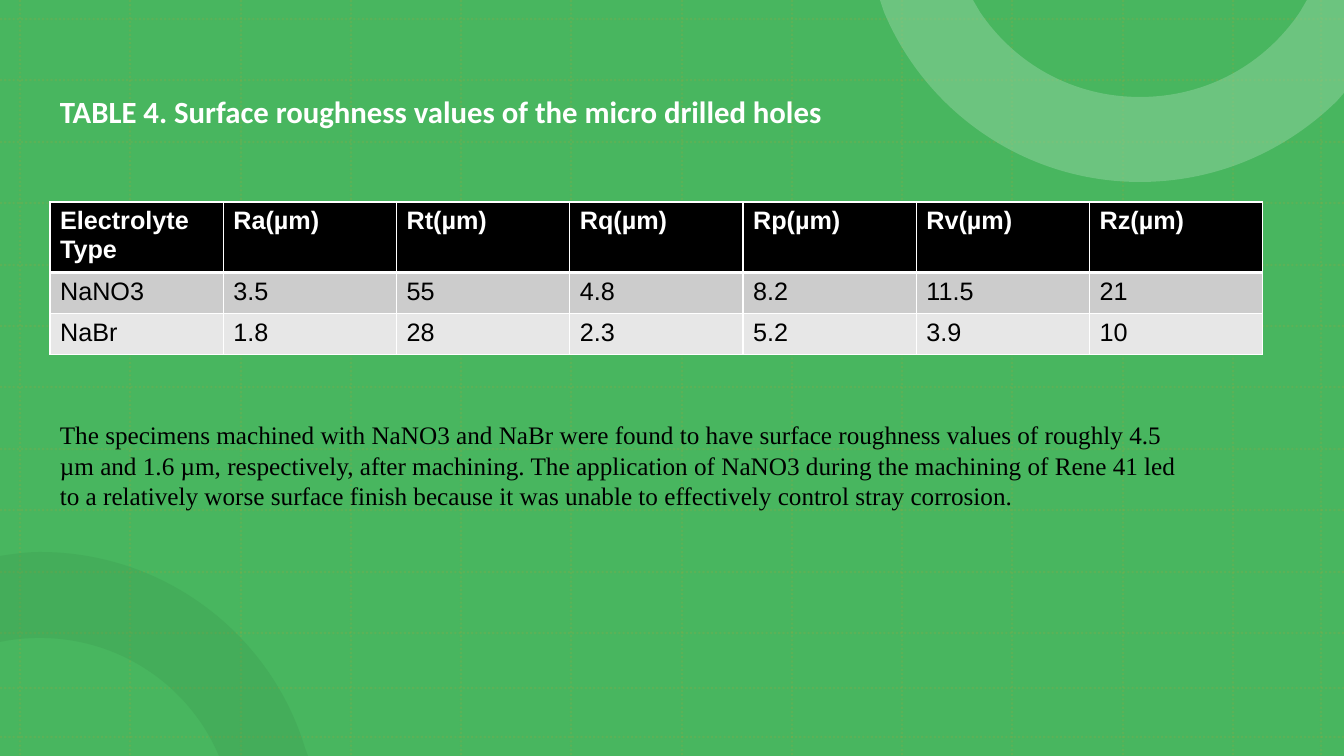
from lxml.etree import SubElement
from pptx import Presentation
from pptx.dml.color import RGBColor
from pptx.enum.dml import MSO_LINE
from pptx.enum.shapes import MSO_CONNECTOR, MSO_SHAPE
from pptx.enum.text import MSO_ANCHOR
from pptx.oxml.ns import qn
from pptx.util import Pt

TITLE = "TABLE 4. Surface roughness values of the micro drilled holes"
ROUGHNESS = [
    ["Electrolyte Type", "Ra(µm)", "Rt(µm)", "Rq(µm)", "Rp(µm)", "Rv(µm)", "Rz(µm)"],
    ["NaNO3", "3.5", "55", "4.8", "8.2", "11.5", "21"],
    ["NaBr", "1.8", "28", "2.3", "5.2", "3.9", "10"],
]
FINDINGS = (
    "The specimens machined with NaNO3 and NaBr were found to have surface "
    "roughness values of roughly 4.5 µm and 1.6 µm, respectively, after machining. "
    "The application of NaNO3 during the machining of Rene 41 led to a relatively "
    "worse surface finish because it was unable to effectively control stray corrosion."
)

THEME = {
    "background": "48B65F",
    "grid": "A9A538",
    "grid_opacity": 20,
    "border": "FFFFFF",
    "row_fills": ["000000", "CCCCCC", "E7E7E7"],
    "title": {"name": "Calibri", "size": Pt(22), "bold": True, "color": "FFFFFF"},
    "header": {"name": "Arial", "size": Pt(18), "bold": True, "color": "FFFFFF"},
    "value": {"name": "Arial", "size": Pt(18), "bold": False, "color": "000000"},
    "findings": {"name": "Times New Roman", "size": Pt(18), "bold": False, "color": "000000"},
}

# Lengths in px
WIDTH, HEIGHT = 1344, 756
TITLE_BOX = (50, 41, 1182, 146)
TABLE_BOX = (50, 202, 1213, 152)
ROW_HEIGHT = 41
FINDINGS_BOX = (50, 414, 1145, 102)
GRID_X = [20 + round(1213 * i / 11) for i in range(12)] + [1321]
GRID_Y = [19 + round(614 * i / 10) for i in range(11)] + [688, 737]
# Each outline is a list of steps: one point is a straight side, three are a curve
LOWER_RING = [
    [(40, 552)],
    [(165, 552), (271, 635), (305, 748)],
    [(308, 756)],
    [(219, 756)],
    [(190, 687), (121, 638), (40, 638)],
    [(27, 638), (14, 639), (0, 642)],
    [(0, 556)],
    [(13, 554), (27, 552), (40, 552)],
]
UPPER_RING = [
    [(880, 0)],
    [(973, 0)],
    [(980, 12)],
    [(1015, 64), (1073, 97), (1140, 97)],
    [(1207, 97), (1265, 64), (1300, 12)],
    [(1307, 0)],
    [(1344, 0)],
    [(1344, 93)],
    [(1337, 101)],
    [(1286, 151), (1217, 182), (1140, 182)],
    [(1025, 182), (926, 112), (884, 12)],
]
RINGS = [(LOWER_RING, "368947", 20), (UPPER_RING, "91D39F", 50)]


def px(length):
    return round(length * 914400 / 100.8)


def box(lengths):
    return [px(length) for length in lengths]


def set_opacity(element, percent):
    color = next(element.iter(qn("a:srgbClr")))
    SubElement(color, qn("a:alpha"), val=str(percent * 1000))


def set_font(font, style):
    for name, value in style.items():
        if name == "color":
            font.color.rgb = RGBColor.from_string(value)
        else:
            setattr(font, name, value)


def paint(shape, color):
    shape.shadow.inherit = False
    shape.line.fill.background()
    shape.fill.solid()
    shape.fill.fore_color.rgb = RGBColor.from_string(color)


def add_grid_line(slide, *ends):
    connector = slide.shapes.add_connector(MSO_CONNECTOR.STRAIGHT, *box(ends))
    line = connector.line
    line.color.rgb = RGBColor.from_string(THEME["grid"])
    line.width = Pt(1.5)
    line.dash_style = MSO_LINE.ROUND_DOT
    properties = connector._element.spPr
    set_opacity(properties, THEME["grid_opacity"])
    SubElement(properties, qn("a:effectLst"))


def add_ring(slide, steps, color, opacity):
    points = [box(point) for step in steps for point in step]
    builder = slide.shapes.build_freeform(*points[0], scale=1.0)
    builder.add_line_segments(points[1:], close=True)
    shape = builder.convert_to_shape()
    bend_curves(shape, steps)
    paint(shape, color)
    set_opacity(shape._element.spPr, opacity)


def bend_curves(shape, steps):
    """Turn the three straight segments of each curved step into one Bézier curve."""
    segments = iter(list(shape._element.iter(qn("a:lnTo"))))
    for step in steps[1:]:
        first, *others = [next(segments) for _ in step]
        if others:
            first.tag = qn("a:cubicBezTo")
        for segment in others:
            first.append(segment[0])
            segment.getparent().remove(segment)


def add_text(slide, place, text, style, line_spacing):
    frame = slide.shapes.add_textbox(*box(place)).text_frame
    frame.word_wrap = True
    frame.vertical_anchor = MSO_ANCHOR.MIDDLE
    paragraph = frame.paragraphs[0]
    paragraph.line_spacing = line_spacing
    run = paragraph.add_run()
    run.text = text
    set_font(run.font, style)


def add_borders(cell, widths):
    properties = cell._tc.get_or_add_tcPr()
    for side, width in widths.items():
        line = SubElement(properties, qn(f"a:ln{side}"), w=str(Pt(width)))
        fill = SubElement(line, qn("a:solidFill"))
        SubElement(fill, qn("a:srgbClr"), val=THEME["border"])


def add_roughness_table(slide):
    size = len(ROUGHNESS), len(ROUGHNESS[0])
    frame = slide.shapes.add_table(*size, *box(TABLE_BOX))
    table = frame.table
    for row, values in enumerate(ROUGHNESS):
        table.rows[row].height = px(ROW_HEIGHT)
        style = THEME["header" if row == 0 else "value"]
        widths = {"L": 1, "R": 1, "T": 3 if row == 1 else 1, "B": 3 if row == 0 else 1}
        for column, value in enumerate(values):
            cell = table.cell(row, column)
            add_borders(cell, widths)
            cell.fill.solid()
            cell.fill.fore_color.rgb = RGBColor.from_string(THEME["row_fills"][row])
            run = cell.text_frame.paragraphs[0].add_run()
            run.text = value
            set_font(run.font, style)
    frame.height = px(TABLE_BOX[3])


def main():
    presentation = Presentation()
    presentation.slide_width, presentation.slide_height = px(WIDTH), px(HEIGHT)
    slide = presentation.slides.add_slide(presentation.slide_layouts[6])
    backdrop = slide.shapes.add_shape(MSO_SHAPE.RECTANGLE, *box((0, 0, WIDTH, HEIGHT)))
    paint(backdrop, THEME["background"])
    for x in GRID_X:
        add_grid_line(slide, x, 0, x, HEIGHT)
    for y in GRID_Y:
        add_grid_line(slide, 0, y, WIDTH, y)
    for ring in RINGS:
        add_ring(slide, *ring)
    add_text(slide, TITLE_BOX, TITLE, THEME["title"], 0.9)
    add_roughness_table(slide)
    add_text(slide, FINDINGS_BOX, FINDINGS, THEME["findings"], 1.0)
    presentation.save("out.pptx")


if __name__ == "__main__":
    main()
